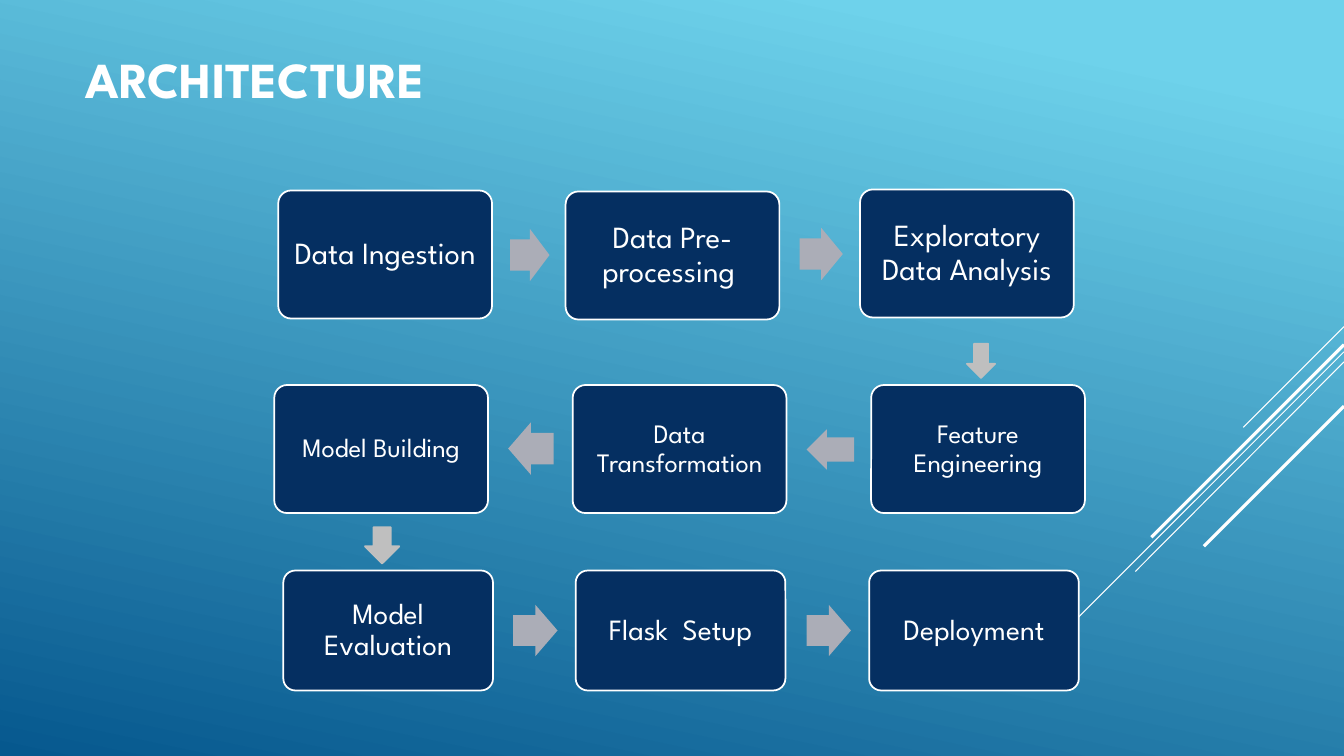
from lxml import etree
from pptx import Presentation
from pptx import util as u
from pptx.dml.color import RGBColor
from pptx.enum import shapes, text
from pptx.oxml.ns import qn

FONT = "League Spartan"
COLORS = {
    "sky": "6ED2EB",
    "ocean": "06588E",
    "navy": "052F61",
    "white": "FFFFFF",
    "arrow": "ABADB7",
    "down_arrow": "BFBFBF",
}

RAYS = [
    (3.24, 12.33, 4.24, 0.75),
    (3.49, 10.07, 6.75, 0.75),
    (3.59, 11.26, 5.67, 0.75),
    (3.42, 11.42, 5.33, 2.25),
    (4.03, 11.94, 5.42, 2.25),
]

ROWS = [
    {
        "size": (2.12, 1.27),
        "font_size": 22,
        "steps": [
            ("Data Ingestion", 2.76, 1.89),
            ("Data Pre-processing ", 5.61, 1.9),
            ("Exploratory Data Analysis", 8.53, 1.88),
        ],
        "arrows": [(5.06, 2.27, 0.39, 0.52), (7.93, 2.26, 0.43, 0.52)],
        "rotation": 0,
    },
    {
        "size": (2.12, 1.27),
        "font_size": 19,
        "steps": [
            ("Model Building", 2.72, 3.82),
            ("Data Transformation", 5.68, 3.82),
            ("Feature Engineering", 8.64, 3.82),
        ],
        "arrows": [(5.04, 4.19, 0.45, 0.52), (8, 4.26, 0.47, 0.4)],
        "rotation": 180,
    },
    {
        "size": (2.08, 1.19),
        "font_size": 21,
        "steps": [
            ("Model Evaluation", 2.81, 5.66),
            ("Flask  Setup", 5.71, 5.66),
            ("Deployment", 8.62, 5.66),
        ],
        "arrows": [(5.09, 6, 0.44, 0.51), (8, 6, 0.44, 0.51)],
        "rotation": 0,
    },
]

DOWN_ARROWS = [(9.59, 3.41, 0.28, 0.34), (3.62, 5.23, 0.34, 0.36)]


def color(name):
    return RGBColor.from_string(COLORS[name])


def inches(*lengths):
    return [u.Inches(length) for length in lengths]


def set_background(slide):
    fill = slide.background.fill
    fill.gradient()
    fill.gradient_angle = 258
    stops = zip(fill.gradient_stops, [("sky", 0.1), ("ocean", 1)])
    for stop, (name, position) in stops:
        stop.color.rgb = color(name)
        stop.position = position


def write_text(shape, content, size, bold=False, align=text.PP_ALIGN.CENTER,
               margin=0.1, spacing=0.9):
    frame = shape.text_frame
    frame.word_wrap = True
    frame.vertical_anchor = text.MSO_ANCHOR.MIDDLE
    frame.margin_left = frame.margin_right = u.Inches(margin)
    frame.margin_top = frame.margin_bottom = u.Inches(margin)
    paragraph = frame.paragraphs[0]
    paragraph.alignment = align
    paragraph.line_spacing = spacing
    run = paragraph.add_run()
    run.text = content
    run.font.name = FONT
    run.font.size = u.Pt(size)
    run.font.bold = bold
    run.font.color.rgb = color("white")


def add_ray(slide, top, end_left, end_top, width):
    ray = slide.shapes.add_connector(
        shapes.MSO_CONNECTOR.STRAIGHT, *inches(13.33, top, end_left, end_top))
    ray.line.color.rgb = color("white")
    ray.line.width = u.Pt(width)
    etree.SubElement(ray._element.spPr, qn("a:effectLst"))


def add_block(slide, kind, box, fill, line=None, adjustments=()):
    shape = slide.shapes.add_shape(kind, *inches(*box))
    shape.shadow.inherit = False
    shape.fill.solid()
    shape.fill.fore_color.rgb = color(fill)
    if line:
        shape.line.color.rgb = color(line)
        shape.line.width = u.Pt(1.25)
    else:
        shape.line.fill.background()
    for index, value in enumerate(adjustments):
        shape.adjustments[index] = value
    return shape


def add_row(slide, row):
    for label, left, top in row["steps"]:
        step = add_block(slide, shapes.MSO_SHAPE.ROUNDED_RECTANGLE,
                         (left, top, *row["size"]), "navy", "white", [0.1])
        write_text(step, label, row["font_size"], margin=0.12)
    for box in row["arrows"]:
        arrow = add_block(slide, shapes.MSO_SHAPE.RIGHT_ARROW, box, "arrow",
                          adjustments=[0.6, 0.5])
        arrow.rotation = row["rotation"]


def main():
    presentation = Presentation()
    presentation.slide_width, presentation.slide_height = inches(13.33, 7.5)
    slide = presentation.slides.add_slide(presentation.slide_layouts[6])
    set_background(slide)
    for ray in RAYS:
        add_ray(slide, *ray)
    title = slide.shapes.add_textbox(*inches(0.75, 0.33, 9.33, 0.98))
    write_text(title, "ARCHITECTURE", 36, bold=True, align=text.PP_ALIGN.LEFT)
    for row in ROWS:
        add_row(slide, row)
    for box in DOWN_ARROWS:
        add_block(slide, shapes.MSO_SHAPE.DOWN_ARROW, box,
                  "down_arrow", "down_arrow")
    presentation.save("out.pptx")


main()
